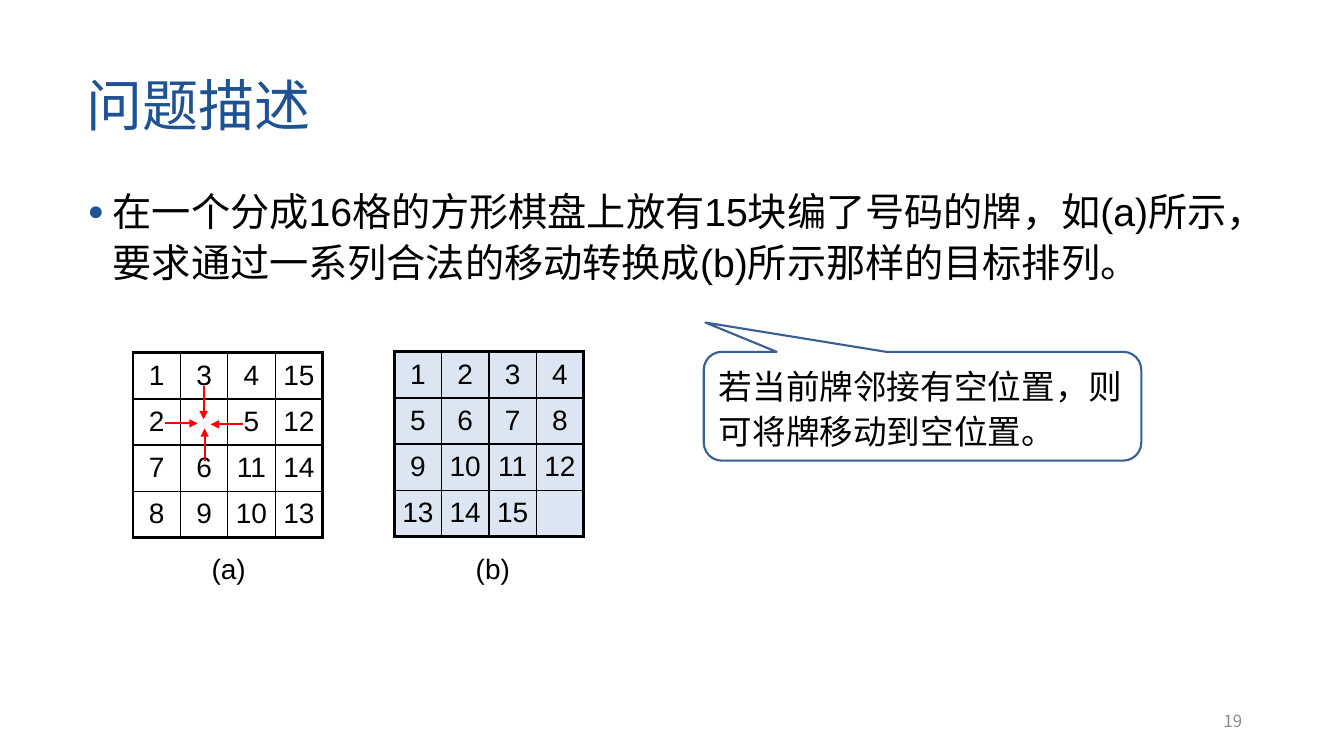
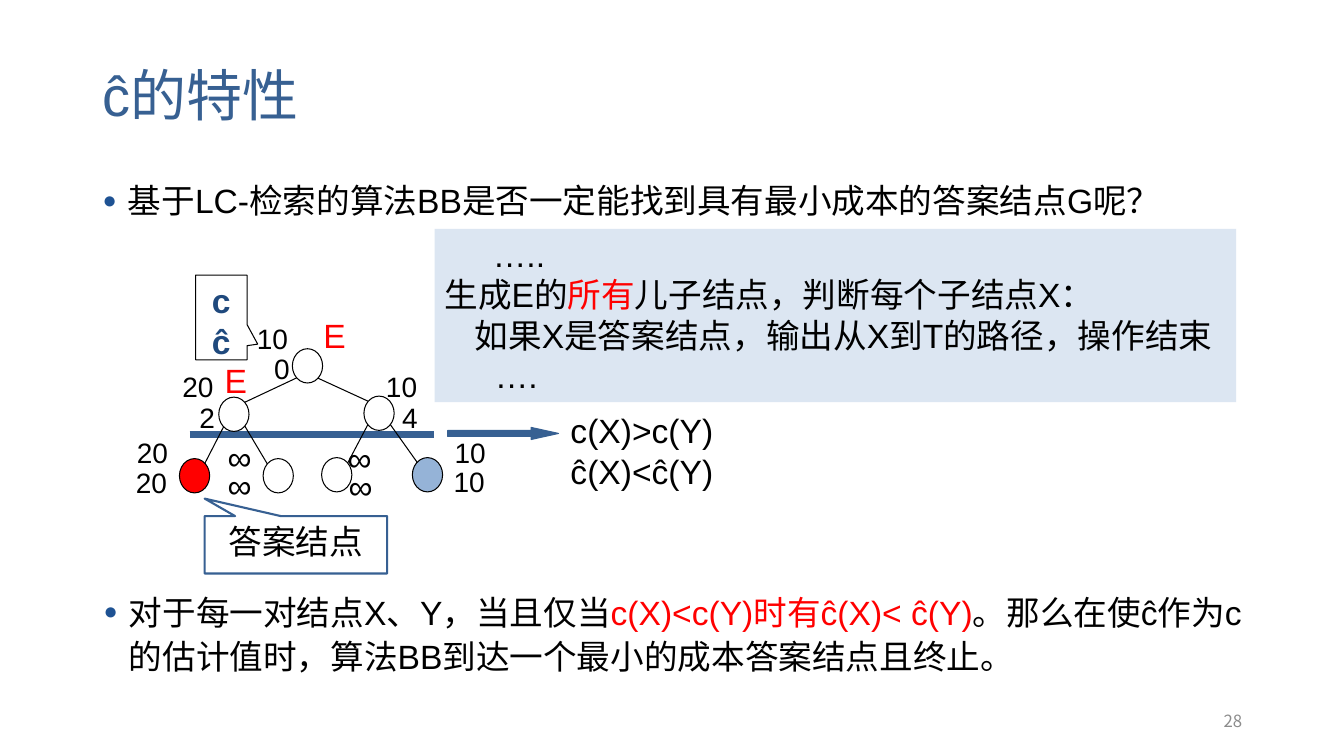
from lxml.etree import SubElement
from pptx import Presentation
from pptx.dml.color import RGBColor
from pptx.enum.shapes import MSO_CONNECTOR, MSO_SHAPE
from pptx.enum.text import MSO_ANCHOR, MSO_AUTO_SIZE, PP_ALIGN
from pptx.oxml.ns import qn
from pptx.util import Inches, Pt

BLACK = RGBColor(0x00, 0x00, 0x00)
WHITE = RGBColor(0xFF, 0xFF, 0xFF)
RED = RGBColor(0xFF, 0x00, 0x00)
GRAY = RGBColor(0x8C, 0x8C, 0x8C)
NAVY = RGBColor(0x1E, 0x52, 0x93)
BLUE = RGBColor(0x37, 0x60, 0x92)
DARK_BLUE = RGBColor(0x1F, 0x49, 0x7D)
LIGHT_BLUE = RGBColor(0x95, 0xB3, 0xD7)
PALE_BLUE = RGBColor(0xDC, 0xE6, 0xF2)
ARIAL = "Arial"
NOTO = "Noto Sans CJK SC"


def write(tf, lines, size, font=ARIAL, align=PP_ALIGN.LEFT, spacing=None, bold=False):
    tf.word_wrap = True
    tf.auto_size = MSO_AUTO_SIZE.NONE
    for i, runs in enumerate(lines):
        p = tf.paragraphs[0] if i == 0 else tf.add_paragraph()
        p.alignment = align
        if spacing:
            p.line_spacing = spacing
        for text, color in runs:
            r = p.add_run()
            r.text = text
            r.font.size = Pt(size)
            r.font.bold = bold
            r.font.color.rgb = color
            r.font.name = font
            SubElement(r.font._element, qn("a:ea"), typeface=font)


def add_line(s, x1, y1, x2, y2, color, width, arrow=False):
    line = s.shapes.add_connector(
        MSO_CONNECTOR.STRAIGHT, Inches(x1), Inches(y1), Inches(x2), Inches(y2))
    line.line.color.rgb = color
    line.line.width = Pt(width)
    if arrow:
        SubElement(line.line._get_or_add_ln(), qn("a:tailEnd"), type="triangle")
    SubElement(line._element.spPr, qn("a:effectLst"))


prs = Presentation()
prs.slide_width = Inches(13.33)
prs.slide_height = Inches(7.5)

slides = []
for title, x, y, color, number in [
    ("问题描述", 0.76, 0.35, NAVY, "19"),
    ("ĉ的特性", 0.92, 0.25, BLUE, "28"),
]:
    s = prs.slides.add_slide(prs.slide_layouts[5])
    sp = s.shapes.title
    sp.left, sp.top, sp.width, sp.height = Inches(x), Inches(y), Inches(11.5), Inches(1.45)
    sp.text_frame.vertical_anchor = MSO_ANCHOR.MIDDLE
    write(sp.text_frame, [[(title, color)]], 40, spacing=0.9)
    sp = s.shapes.add_textbox(Inches(9.42), Inches(6.95), Inches(3), Inches(0.4))
    sp.text_frame.vertical_anchor = MSO_ANCHOR.MIDDLE
    write(sp.text_frame, [[(number, GRAY)]], 12, NOTO, PP_ALIGN.RIGHT)
    slides.append(s)
puzzle, tree = slides

for s, x, y, h, size, runs in [
    (puzzle, 0.77, 1.76, 1.27, 28, [
        ("在一个分成16格的方形棋盘上放有15块编了号码的牌，如(a)所示，"
         "要求通过一系列合法的移动转换成(b)所示那样的目标排列。", BLACK)]),
    (tree, 0.92, 1.7, 0.77, 24, [
        ("基于LC-检索的算法BB是否一定能找到具有最小成本的答案结点G呢？", BLACK)]),
    (tree, 0.93, 5.78, 1.21, 24, [
        ("对于每一对结点X、Y，当且仅当", BLACK),
        ("c(X)<c(Y)时有ĉ(X)< ĉ(Y)", RED),
        ("。那么在使ĉ作为c的估计值时，算法BB到达一个最小的成本答案结点且终止。", BLACK)]),
]:
    sp = s.shapes.add_textbox(Inches(x), Inches(y), Inches(11.5), Inches(h))
    write(sp.text_frame, [runs], size, spacing=1.1)
    p = sp.text_frame.paragraphs[0]
    p.space_before = Pt(10)
    pPr = p._p.get_or_add_pPr()
    pPr.set("marL", str(Inches(0.25)))
    pPr.set("indent", str(-Inches(0.25)))
    SubElement(SubElement(pPr, qn("a:buClr")), qn("a:srgbClr"), val=str(NAVY))
    SubElement(pPr, qn("a:buSzPct"), val="70000")
    SubElement(pPr, qn("a:buFont"), typeface=ARIAL)
    SubElement(pPr, qn("a:buChar"), char="●")

goal = [[str(4 * i + j + 1) for j in range(4)] for i in range(4)]
goal[3][3] = ""
start = [
    ["1", "3", "4", "15"],
    ["2", "", "5", "12"],
    ["7", "6", "11", "14"],
    ["8", "9", "10", "13"],
]
for board, x, y, fill, caption, caption_x in [
    (goal, 3.91, 3.49, PALE_BLUE, "(b)", 4.62),
    (start, 1.32, 3.5, WHITE, "(a)", 2),
]:
    table = puzzle.shapes.add_table(
        4, 4, Inches(x), Inches(y), Inches(1.88), Inches(1.83)).table
    table.first_row = False
    table.horz_banding = False
    for i, row in enumerate(board):
        for j, value in enumerate(row):
            cell = table.cell(i, j)
            cell.margin_left = cell.margin_right = 0
            cell.margin_top = cell.margin_bottom = 0
            cell.vertical_anchor = MSO_ANCHOR.MIDDLE
            tcPr = cell._tc.get_or_add_tcPr()
            for side, outer in [("L", j == 0), ("R", j == 3), ("T", i == 0), ("B", i == 3)]:
                ln = SubElement(tcPr, qn("a:ln" + side), w=str(Pt(2.25 if outer else 1)))
                SubElement(SubElement(ln, qn("a:solidFill")), qn("a:srgbClr"), val=str(BLACK))
            cell.fill.solid()
            cell.fill.fore_color.rgb = fill
            if value:
                write(cell.text_frame, [[(value, BLACK)]], 20, align=PP_ALIGN.CENTER)
    sp = puzzle.shapes.add_textbox(Inches(caption_x), Inches(5.42), Inches(0.58), Inches(0.43))
    write(sp.text_frame, [[(caption, BLACK)]], 20)

for ends in [
    (1.64, 4.2, 1.96, 4.2),
    (2.03, 4.57, 2.03, 4.25),
    (2.41, 4.21, 2.09, 4.21),
    (2.02, 3.83, 2.02, 4.16),
]:
    add_line(puzzle, *ends, RED, 1.5, arrow=True)

ROUND = MSO_SHAPE.ROUNDED_RECTANGULAR_CALLOUT
RECT = MSO_SHAPE.RECTANGULAR_CALLOUT
for s, kind, x, y, w, h, adj, color, width, lines, text_style in [
    (puzzle, ROUND, 6.98, 3.49, 4.34, 1.08, (-0.496, -0.769, 0.167), BLUE, 1.5,
     [[("若当前牌邻接有空位置，则可将牌移动到空位置。", BLACK)]],
     dict(font=NOTO, spacing=1.1)),
    (tree, RECT, 2.03, 5.12, 1.81, 0.57, (-0.5, -0.804), BLUE, 1.5,
     [[("答案结点", BLACK)]], dict(font=NOTO, align=PP_ALIGN.CENTER)),
    (tree, RECT, 1.94, 2.73, 0.51, 0.84, (0.708, 0.315), BLACK, 0.75,
     [[("c", DARK_BLUE)], [("ĉ", DARK_BLUE)]], dict(align=PP_ALIGN.CENTER, bold=True)),
]:
    sp = s.shapes.add_shape(kind, Inches(x), Inches(y), Inches(w), Inches(h))
    sp.shadow.inherit = False
    for i, value in enumerate(adj):
        sp.adjustments[i] = value
    sp.fill.background()
    sp.line.color.rgb = color
    sp.line.width = Pt(width)
    sp.text_frame.vertical_anchor = MSO_ANCHOR.TOP
    write(sp.text_frame, lines, 24, **text_style)

add_line(tree, 1.88, 4.31, 4.3, 4.31, BLUE, 4.5)
sp = tree.shapes.add_shape(
    MSO_SHAPE.RIGHT_ARROW, Inches(4.44), Inches(4.24), Inches(1.1), Inches(0.12))
sp.shadow.inherit = False
sp.adjustments[0] = 0.5
sp.adjustments[1] = 2.26
sp.fill.solid()
sp.fill.fore_color.rgb = BLUE
sp.line.color.rgb = BLUE
sp.line.width = Pt(0.75)

sp = tree.shapes.add_textbox(Inches(5.56), Inches(4.02), Inches(1.8), Inches(0.91))
write(sp.text_frame, [[("c(X)>c(Y)", BLACK)], [("ĉ(X)<ĉ(Y)", BLACK)]], 24)

sp = tree.shapes.add_shape(
    MSO_SHAPE.RECTANGLE, Inches(4.31), Inches(2.27), Inches(7.95), Inches(1.72))
sp.shadow.inherit = False
sp.fill.solid()
sp.fill.fore_color.rgb = PALE_BLUE
sp.line.fill.background()
tf = sp.text_frame
tf.vertical_anchor = MSO_ANCHOR.TOP
write(tf, [
    [("…..", BLACK)],
    [("生成E的", BLACK), ("所有", RED), ("儿子结点，判断每个子结点X：", BLACK)],
    [("如果X是答案结点，输出从X到T的路径，操作结束", BLACK)],
    [("….", BLACK)],
], 24)
for p, indent in zip(tf.paragraphs, (0.48, 0, 0.3, 0.5)):
    p._p.get_or_add_pPr().set("indent", str(Inches(indent)))

for x, y, fill in [
    (2.9, 3.46, None),
    (2.17, 3.94, None),
    (3.61, 3.93, None),
    (2.61, 4.55, None),
    (3.19, 4.54, None),
    (4.09, 4.54, LIGHT_BLUE),
    (1.78, 4.55, RED),
]:
    sp = tree.shapes.add_shape(
        MSO_SHAPE.OVAL, Inches(x), Inches(y), Inches(0.3), Inches(0.34))
    sp.shadow.inherit = False
    if fill:
        sp.fill.solid()
        sp.fill.fore_color.rgb = fill
    else:
        sp.fill.background()
    sp.line.color.rgb = BLACK
    sp.line.width = Pt(0.75)

for ends in [
    (2.94, 3.75, 2.43, 3.99),
    (3.15, 3.75, 3.65, 3.98),
    (2.22, 4.23, 2.03, 4.6),
    (2.65, 4.6, 2.43, 4.23),
    (3.65, 4.21, 3.45, 4.59),
    (3.87, 4.21, 4.14, 4.59),
]:
    add_line(tree, *ends, BLACK, 0.75)

for text, x, y, size, spacing, color in [
    ("E", 3.11, 3.07, 24, None, RED),
    ("E", 2.13, 3.52, 24, None, RED),
    ("10", 2.45, 3.23, 20, 0.7, BLACK),
    ("0", 2.62, 3.44, 20, None, BLACK),
    ("20", 1.71, 3.71, 20, 0.7, BLACK),
    ("2", 1.88, 3.92, 20, None, BLACK),
    ("20", 1.26, 4.36, 20, 0.7, BLACK),
    ("20", 1.25, 4.57, 20, None, BLACK),
    ("∞", 2.16, 4.39, 24, 0.7, BLACK),
    ("∞", 2.16, 4.56, 24, None, BLACK),
    ("10", 3.73, 3.71, 20, 0.7, BLACK),
    ("4", 3.89, 3.92, 20, None, BLACK),
    ("∞", 3.35, 4.4, 24, 0.7, BLACK),
    ("∞", 3.36, 4.57, 24, None, BLACK),
    ("10", 4.41, 4.36, 20, 0.7, BLACK),
    ("10", 4.4, 4.56, 20, None, BLACK),
]:
    sp = tree.shapes.add_textbox(
        Inches(x), Inches(y), Inches(0.7 if spacing else 0.53), Inches(0.34 if spacing else 0.45))
    write(sp.text_frame, [[(text, color)]], size, spacing=spacing)

prs.save("out.pptx")
